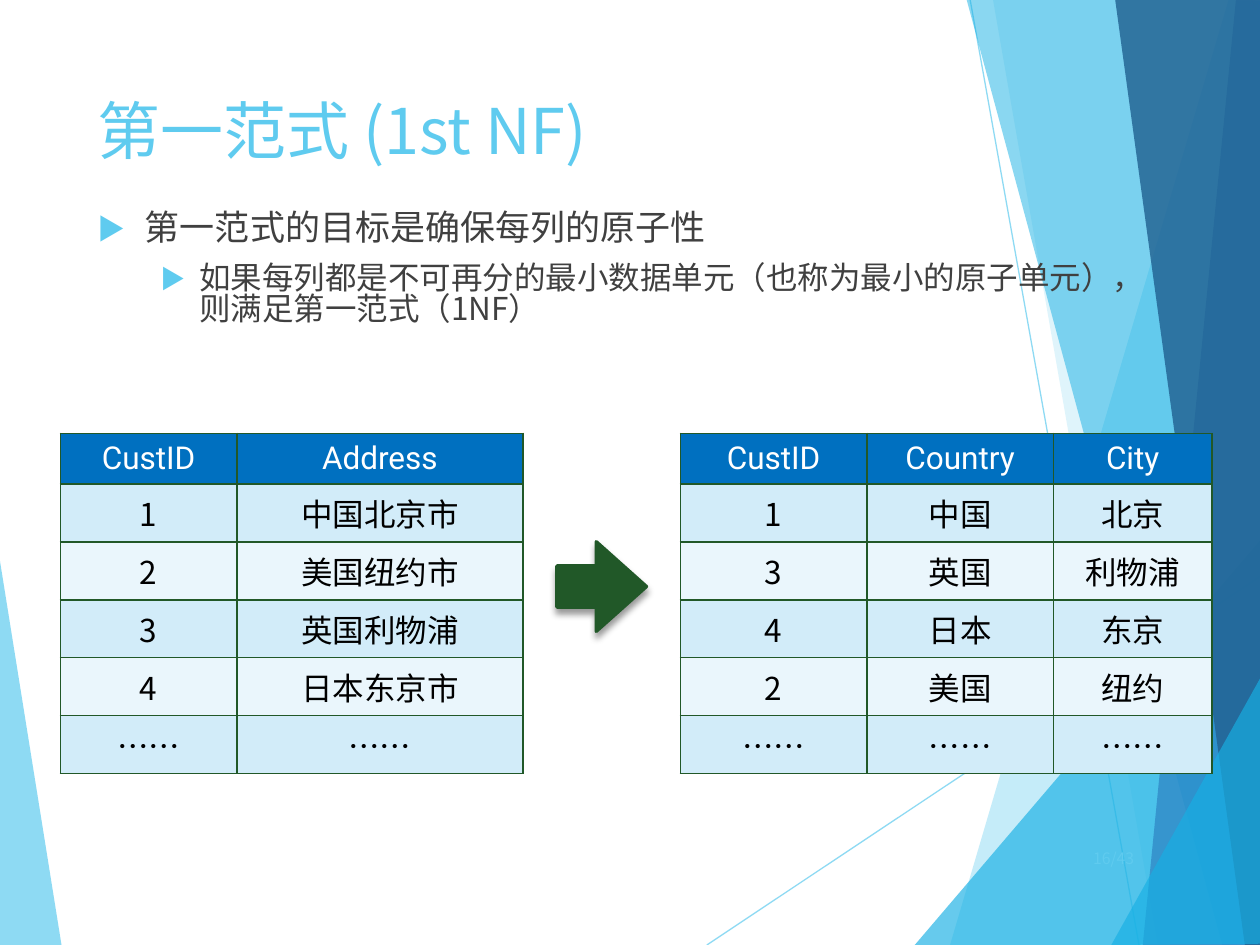
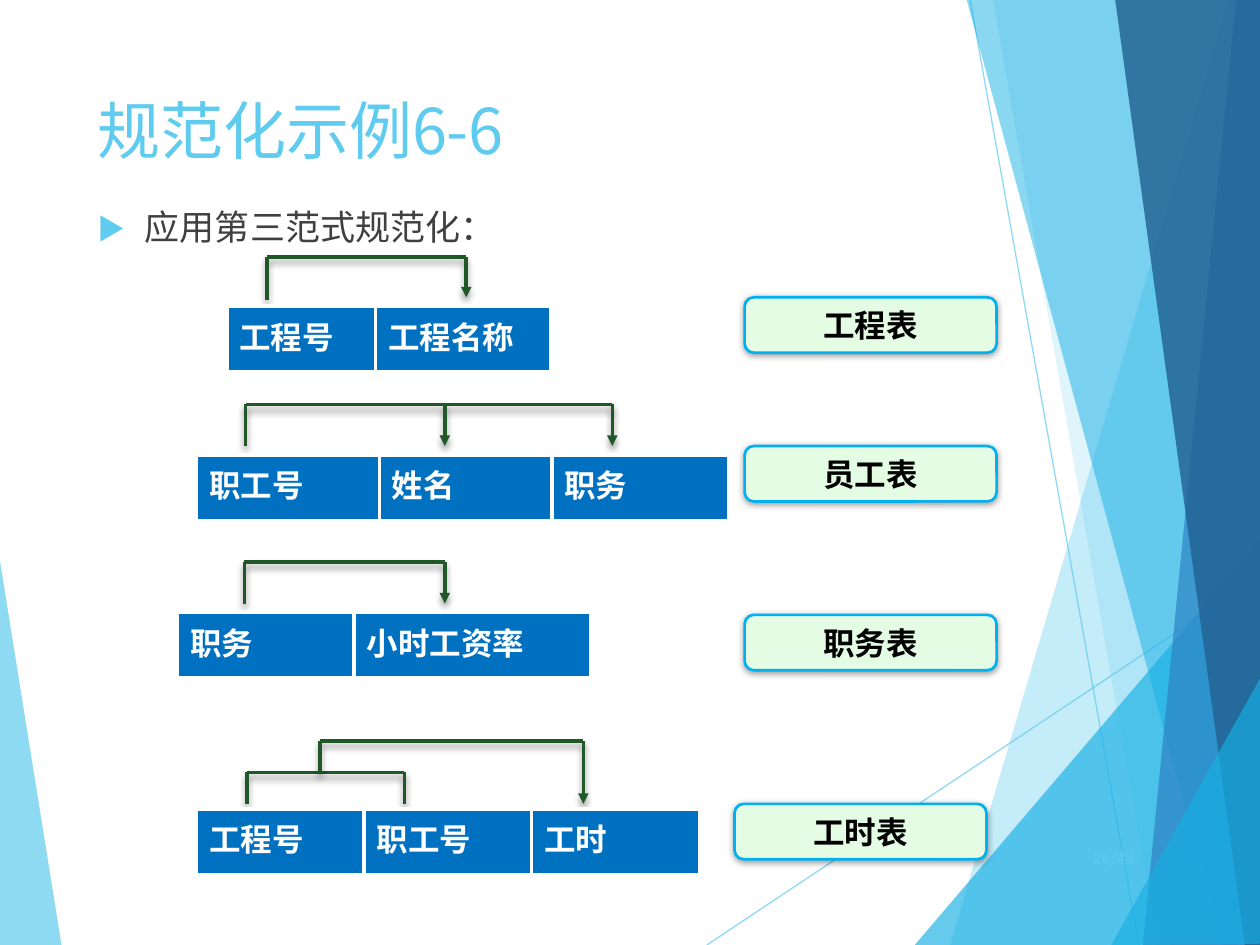
from lxml import etree
from pptx import Presentation
from pptx.dml.color import RGBColor
from pptx.enum.shapes import MSO_CONNECTOR, MSO_SHAPE
from pptx.enum.text import MSO_ANCHOR, MSO_AUTO_SIZE, PP_ALIGN
from pptx.oxml.ns import qn
from pptx.util import Inches, Pt

STRAIGHT = MSO_CONNECTOR.STRAIGHT
DOWN_ARROW, ROUNDED = MSO_SHAPE.DOWN_ARROW, MSO_SHAPE.ROUNDED_RECTANGLE
TOP, MIDDLE = MSO_ANCHOR.TOP, MSO_ANCHOR.MIDDLE
NO_AUTOFIT = MSO_AUTO_SIZE.NONE
LEFT, CENTER, RIGHT = PP_ALIGN.LEFT, PP_ALIGN.CENTER, PP_ALIGN.RIGHT

CJK, LATIN, LABEL_FONT = "Noto Sans CJK SC", "Roboto", "Arial"
COLORS = {
    "sky": "5FCBEF", "cyan": "17B0E4", "blue": "2E83C3", "navy": "226292",
    "body": "404040", "white": "FFFFFF", "black": "000000",
    "header": "0070C0", "odd_row": "D2ECF9", "even_row": "EAF6FC",
    "green": "215828", "label": "E4FCE4", "label_edge": "00B0F0",
}

# Backdrop facets: colour, opacity in percent, corners
FACETS = [
    ("sky", 70, [(-0.01, 4.39), (0.49, 7.51), (-0.01, 7.5)]),
    ("sky", 36, [(9.75, 0), (7.54, 7.5), (10.02, 7.51), (10.01, 0.01)]),
    ("sky", 20, [(7.88, -0.01), (9.19, 7.5), (10.01, 7.5), (10.01, -0.01)]),
    ("cyan", 66, [(7.26, 7.5), (10, 4.29), (10.01, 7.5)]),
    ("cyan", 50, [(7.67, -0.01), (9.7, 7.5), (10.01, 7.49), (10.01, -0.01)]),
    ("blue", 70, [(9.81, -0.01), (9.07, 7.5), (10.01, 7.5), (10, -0.01)]),
    ("navy", 82, [(8.85, -0.01), (9.88, 7.5), (10.02, 7.5), (10, -0.01)]),
    ("cyan", 66, [(8.82, 7.5), (10.02, 5.35), (10.02, 7.49)]),
]
RAYS = [((5.61, 7.5), (10.01, 4.57)), ((7.7, 0), (9.04, 7.5))]


def rgb(name):
    return RGBColor.from_string(COLORS[name])


def inches(*lengths):
    return [Inches(length) for length in lengths]


def add_xml(parent, tag, **attributes):
    return etree.SubElement(parent, qn(tag), attributes)


def add_color(parent, name, opacity=100):
    color = add_xml(parent, "a:srgbClr", val=COLORS[name])
    if opacity < 100:
        add_xml(color, "a:alpha", val=str(opacity * 1000))


def set_opacity(element, opacity):
    for color in element.iter(qn("a:srgbClr")):
        add_xml(color, "a:alpha", val=str(opacity * 1000))


def add_shadow(element, distance):
    effects = add_xml(element.spPr, "a:effectLst")
    shadow = add_xml(effects, "a:outerShdw", blurRad=str(Pt(4)),
                     dist=str(Pt(distance)), dir="5400000", rotWithShape="0")
    add_color(shadow, "black", 40)


def style_text(paragraph, size, color, font=CJK, bold=False, align=LEFT):
    paragraph.alignment = align
    paragraph.font.size = Pt(size)
    paragraph.font.bold = bold
    paragraph.font.color.rgb = rgb(color)
    paragraph.font.name = font
    defaults = paragraph._p.get_or_add_pPr().find(qn("a:defRPr"))
    add_xml(defaults, "a:ea", typeface=CJK)


def place(shape, left, top, width, height):
    shape.left, shape.top, shape.width, shape.height = inches(left, top, width, height)


# Shared parts
def add_line(slide, start, end, color, width):
    line = slide.shapes.add_connector(STRAIGHT, *inches(*start, *end))
    line.line.color.rgb = rgb(color)
    line.line.width = Pt(width)
    return line


def add_facet(slide, color, opacity, corners):
    points = [inches(*corner) for corner in corners]
    builder = slide.shapes.build_freeform(*points[0])
    builder.add_line_segments(points[1:])
    facet = builder.convert_to_shape()
    facet.shadow.inherit = False
    facet.fill.solid()
    facet.fill.fore_color.rgb = rgb(color)
    facet.line.fill.background()
    set_opacity(facet.element, opacity)
    return facet


def add_backdrop(slide, layout):
    """Draw the facets on the slide, then move them to the back of its layout."""
    backdrop = [add_facet(slide, *facet) for facet in FACETS]
    for position, (start, end) in enumerate(RAYS, 1):
        ray = add_line(slide, start, end, "sky", 0.75)
        set_opacity(ray.element, 70)
        add_xml(ray.element.spPr, "a:effectLst")
        backdrop.insert(position, ray)
    for index, part in enumerate(backdrop):
        part.element.xpath(".//p:cNvPr")[0].set("id", str(100 + index))
        layout.shapes.element.insert(2 + index, part.element)


def write_bullet(paragraph, text, level):
    paragraph.text = text
    paragraph.level = level
    margin, hanging, size, spacing = [(0.38, 0.38, 20, 0.9), (0.81, 0.31, 18, 0.8)][level]
    properties = paragraph._p.get_or_add_pPr()
    properties.set("marL", str(Inches(margin)))
    properties.set("indent", str(-Inches(hanging)))
    add_color(add_xml(properties, "a:buClr"), "sky")
    add_xml(properties, "a:buSzPct", val="80000")
    add_xml(properties, "a:buFont", typeface=CJK)
    add_xml(properties, "a:buChar", char="▶")
    paragraph.space_before = Pt(10)
    paragraph.line_spacing = spacing
    style_text(paragraph, size, "body")


def fill_slide(slide, heading, bullets, page):
    title, body = slide.placeholders
    place(title, 0.67, 0.67, 8.43, 0.71)
    title.text_frame.text = heading
    title.text_frame.vertical_anchor = MIDDLE
    style_text(title.text_frame.paragraphs[0], 36, "sky")

    place(body, 0.67, 1.62, 8.43, 4.82)
    for level, text in enumerate(bullets):
        frame = body.text_frame
        paragraph = frame.add_paragraph() if level else frame.paragraphs[0]
        write_bullet(paragraph, text, level)
    for placeholder in (title, body):
        placeholder.text_frame.auto_size = NO_AUTOFIT

    page_number = slide.shapes.add_textbox(*inches(8.3, 6.66, 0.8, 0.3)).text_frame
    page_number.word_wrap = True
    page_number.vertical_anchor = MIDDLE
    page_number.text = page
    style_text(page_number.paragraphs[0], 9, "sky", align=RIGHT)


# Tables
def set_borders(cell, color, width):
    properties = cell._tc.get_or_add_tcPr()
    for side in ("a:lnL", "a:lnR", "a:lnT", "a:lnB"):
        border = add_xml(properties, side, w=str(Pt(width)))
        add_color(add_xml(border, "a:solidFill"), color)


def add_grid(slide, left, top, widths, heights, rows, border, border_width, style_cell):
    table = slide.shapes.add_table(
        len(rows), len(widths), *inches(left, top, sum(widths), sum(heights))).table
    for column, width in zip(table.columns, widths):
        column.width = Inches(width)
    for r, texts in enumerate(rows):
        table.rows[r].height = Inches(heights[r])
        for c, text in enumerate(texts):
            cell = table.cell(r, c)
            cell.text = text
            set_borders(cell, border, border_width)
            cell.fill.solid()
            style_cell(cell, r)


def style_data_cell(cell, row):
    paragraph = cell.text_frame.paragraphs[0]
    if row == 0:
        cell.fill.fore_color.rgb = rgb("header")
        cell.vertical_anchor = MIDDLE
        style_text(paragraph, 18, "white", LATIN, align=CENTER)
    else:
        cell.fill.fore_color.rgb = rgb("odd_row" if row % 2 else "even_row")
        cell.vertical_anchor = TOP
        style_text(paragraph, 18, "black", align=CENTER)


def style_field_cell(cell, row):
    cell.fill.fore_color.rgb = rgb("header")
    style_text(cell.text_frame.paragraphs[0], 18, "white", bold=True)


def add_data_table(slide, left, widths, rows):
    heights = [0.4] + [0.46] * (len(rows) - 1)
    add_grid(slide, left, 3.44, widths, heights, rows, "green", 1, style_data_cell)


def add_relation(slide, left, top, widths, fields):
    add_grid(slide, left, top, widths, [0.52], [fields], "white", 2.25, style_field_cell)


# Arrows and labels
def add_split_arrow(slide):
    arrow = slide.shapes.add_shape(DOWN_ARROW, *inches(4.42, 4.3, 0.71, 0.71))
    arrow.rotation = 270
    arrow.adjustments[0], arrow.adjustments[1] = 0.46, 0.56
    arrow.fill.solid()
    arrow.fill.fore_color.rgb = rgb("green")
    arrow.line.color.rgb = rgb("green")
    arrow.line.width = Pt(2)
    add_shadow(arrow.element, 3)


def add_dependency(slide, bar_y, stems):
    """Join stems (x, foot, has arrowhead) with a bar across their tops."""
    xs = [x for x, _, _ in stems]
    segments = [((min(xs), bar_y), (max(xs), bar_y), False)]
    segments += [((x, bar_y), (x, foot), pointed) for x, foot, pointed in stems]
    for start, end, pointed in segments:
        line = add_line(slide, start, end, "green", 2)
        if pointed:
            add_xml(line.line._get_or_add_ln(), "a:tailEnd", type="triangle")
        add_shadow(line.element, 3)


def add_label(slide, left, top, text):
    label = slide.shapes.add_shape(ROUNDED, *inches(left, top, 2, 0.44))
    label.fill.solid()
    label.fill.fore_color.rgb = rgb("label")
    label.line.color.rgb = rgb("label_edge")
    label.line.width = Pt(1.5)
    add_shadow(label.element, 1)
    label.text_frame.text = text
    label.text_frame.vertical_anchor = MIDDLE
    style_text(label.text_frame.paragraphs[0], 18, "black", LABEL_FONT, True, CENTER)


def build_first_form(slide):
    fill_slide(slide, "第一范式 (1st NF)", [
        "第一范式的目标是确保每列的原子性",
        "如果每列都是不可再分的最小数据单元（也称为最小的原子单元），则满足第一范式（1NF）",
    ], "16/43")
    add_split_arrow(slide)
    add_data_table(slide, 0.48, [1.4, 2.27], [
        ("CustID", "Address"), ("1", "中国北京市"), ("2", "美国纽约市"),
        ("3", "英国利物浦"), ("4", "日本东京市"), ("……", "……")])
    add_data_table(slide, 5.4, [1.48, 1.48, 1.26], [
        ("CustID", "Country", "City"), ("1", "中国", "北京"), ("3", "英国", "利物浦"),
        ("4", "日本", "东京"), ("2", "美国", "纽约"), ("……", "……", "……")])


def build_normalization(slide):
    fill_slide(slide, "规范化示例6-6", ["应用第三范式规范化："], "26/43")

    # Dependencies between fields
    add_dependency(slide, 2.04, [(2.12, 2.38, False), (3.7, 2.36, True)])
    add_dependency(slide, 3.21, [(1.95, 3.54, False), (3.53, 3.54, True), (4.86, 3.54, True)])
    add_dependency(slide, 4.46, [(1.94, 4.79, False), (3.53, 4.79, True)])
    add_dependency(slide, 6.13, [(1.96, 6.38, False), (3.21, 6.38, False)])
    add_dependency(slide, 5.88, [(2.54, 6.13, False), (4.63, 6.38, True)])

    # Table names and their fields
    for left, top, name in [(5.91, 2.36, "工程表"), (5.91, 3.54, "员工表"),
                            (5.91, 4.88, "职务表"), (5.83, 6.38, "工时表")]:
        add_label(slide, left, top, name)
    add_relation(slide, 1.8, 2.43, [1.18, 1.39], ["工程号", "工程名称"])
    add_relation(slide, 1.56, 3.61, [1.45, 1.37, 1.4], ["职工号", "姓名", "职务"])
    add_relation(slide, 1.41, 4.86, [1.4, 1.88], ["职务", "小时工资率"])
    add_relation(slide, 1.56, 6.42, [1.33] * 3, ["工程号", "职工号", "工时"])


def main():
    deck = Presentation()
    deck.slide_width, deck.slide_height = inches(10, 7.5)
    layout = deck.slide_layouts[1]
    first_form, normalization = [deck.slides.add_slide(layout) for _ in range(2)]
    add_backdrop(first_form, layout)
    build_first_form(first_form)
    build_normalization(normalization)
    deck.save("out.pptx")


if __name__ == "__main__":
    main()
